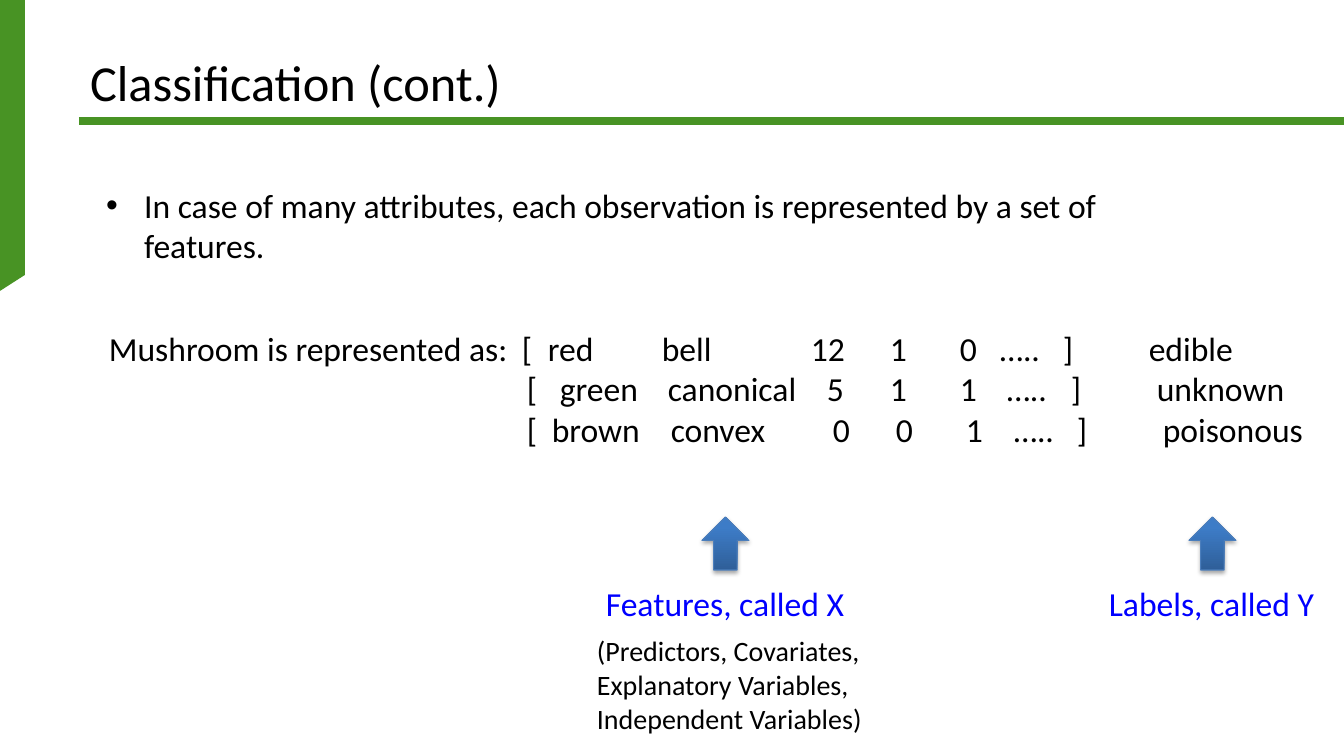
import pptx
import pptx.dml.color
import pptx.enum.shapes
import pptx.enum.text
import pptx.oxml
import pptx.oxml.ns
import pptx.util
from dataclasses import dataclass


@dataclass(frozen=True)
class Theme:
    font: str = "Calibri"
    accent: str = "489324"
    text: str = "000000"
    label: str = "0000FF"
    arrow_dark: str = "2F5F99"
    arrow_light: str = "3D7CC7"
    arrow_edge: str = "4B7EBC"
    title_size: int = 36
    body_size: int = 24
    note_size: int = 20


def px(length):
    return round(length * 914400 / 100.8)


def rgb(code):
    return pptx.dml.color.RGBColor.from_string(code)


def add_xml(parent, tag, **attributes):
    child = parent.makeelement(pptx.oxml.ns.qn(tag), {key: str(value) for key, value in attributes.items()})
    parent.append(child)
    return child


class SlideBuilder:
    def __init__(self, slide, theme):
        self.slide = slide
        self.theme = theme

    def format_text(self, text_frame, size, color):
        for paragraph in text_frame.paragraphs:
            for run in paragraph.runs:
                run.font.name = self.theme.font
                run.font.size = pptx.util.Pt(size)
                run.font.color.rgb = rgb(color)

    def place(self, shape, left, top, width, height):
        shape.left, shape.top = px(left), px(top)
        shape.width, shape.height = px(width), px(height)

    def title(self, text, *box, indent):
        shape = self.slide.shapes.title
        self.place(shape, *box)
        frame = shape.text_frame
        frame.text = text
        frame.auto_size = pptx.enum.text.MSO_AUTO_SIZE.NONE
        frame.vertical_anchor = pptx.enum.text.MSO_ANCHOR.BOTTOM
        frame.margin_left = px(indent)
        frame.margin_top = frame.margin_right = frame.margin_bottom = 0
        frame.paragraphs[0].alignment = pptx.enum.text.PP_ALIGN.LEFT
        frame.paragraphs[0].line_spacing = 0.9
        self.format_text(frame, self.theme.title_size, self.theme.text)

    def bullets(self, items, *box, indent):
        shape = self.slide.placeholders[1]
        self.place(shape, *box)
        frame = shape.text_frame
        frame.text = "\n".join(items)
        frame.auto_size = pptx.enum.text.MSO_AUTO_SIZE.NONE
        for paragraph in frame.paragraphs:
            paragraph.space_before = pptx.util.Pt(0)
            properties = paragraph._p.get_or_add_pPr()
            properties.set("marL", str(px(indent)))
            properties.set("indent", str(-px(indent)))
            add_xml(properties, "a:buFont", typeface="Arial")
            add_xml(properties, "a:buChar", char="•")
        self.format_text(frame, self.theme.body_size, self.theme.text)

    def text(self, text, *box, size, color):
        shape = self.slide.shapes.add_textbox(*map(px, box))
        shape.text_frame.word_wrap = True
        shape.text_frame.text = text
        self.format_text(shape.text_frame, size, color)
        return shape.text_frame

    def tabbed_rows(self, rows, *box):
        """Each row is its text cells and the px tab stops, from the slide's left edge."""
        lines = "\n".join("\t".join(cells) for cells, stops in rows)
        frame = self.text(lines, *box, size=self.theme.body_size, color=self.theme.text)
        for paragraph, (cells, stops) in zip(frame.paragraphs, rows):
            tabs = add_xml(paragraph._p.get_or_add_pPr(), "a:tabLst")
            for stop in stops:
                add_xml(tabs, "a:tab", pos=px(stop - box[0]) - frame.margin_left, algn="l")

    def polygon(self, points):
        builder = self.slide.shapes.build_freeform(*points[0], scale=px(1))
        builder.add_line_segments(points[1:], close=True)
        shape = builder.convert_to_shape()
        shape.shadow.inherit = False
        shape.fill.solid()
        shape.fill.fore_color.rgb = rgb(self.theme.accent)
        shape.line.fill.background()

    def rule(self, left, right, y, weight):
        line = self.slide.shapes.add_connector(
            pptx.enum.shapes.MSO_CONNECTOR.STRAIGHT, px(left), px(y), px(right), px(y))
        line.line.color.rgb = rgb(self.theme.accent)
        line.line.width = pptx.util.Pt(weight)
        add_xml(line._element.spPr, "a:effectLst")

    def up_arrow(self, *box):
        shape = self.slide.shapes.add_shape(pptx.enum.shapes.MSO_SHAPE.UP_ARROW, *map(px, box))
        shape.fill.gradient()
        shape.fill.gradient_angle = 90
        stops = zip(shape.fill.gradient_stops, (0, 0.8), (self.theme.arrow_dark, self.theme.arrow_light))
        for stop, position, color in stops:
            stop.position = position
            stop.color.rgb = rgb(color)
        shape.line.color.rgb = rgb(self.theme.arrow_edge)
        shape.line.width = pptx.util.Pt(0.75)
        # Soft shadow straight below
        shape.shadow.inherit = False
        effects = shape._element.spPr.find(pptx.oxml.ns.qn("a:effectLst"))
        shadow = add_xml(effects, "a:outerShdw", blurRad=pptx.util.Pt(3.1), dist=pptx.util.Pt(1.8),
                         dir=90 * 60000, rotWithShape=0)
        add_xml(add_xml(shadow, "a:srgbClr", val="000000"), "a:alpha", val=35000)


def main():
    presentation = pptx.Presentation()
    presentation.slide_width, presentation.slide_height = px(1344), px(756)
    theme = Theme()
    builder = SlideBuilder(presentation.slides.add_slide(presentation.slide_layouts[1]), theme)

    # Green frame
    builder.polygon([(0, 0), (25, 0), (25, 275), (0, 291)])
    builder.rule(79, 1344, 121, 6)

    # Title and statement
    builder.title("Classification (cont.)", 79, 0, 1185, 112, indent=11)
    builder.bullets(
        ["In case of many attributes, each observation is represented by a set of features."],
        96, 180, 1052, 576, indent=38)

    # Observations: feature vector and label
    builder.tabbed_rows([
        (["Mushroom is represented as:", "[", "red", "bell", "12", "1", "0", "…..", "]", "edible"],
         [522, 548, 662, 811, 890, 960, 1000, 1063, 1149]),
        (["", "[", "green", "canonical", "5", "1", "1", "…..", "]", "unknown"],
         [527, 560, 668, 827, 890, 960, 1007, 1071, 1157]),
        (["", "[", "brown", "convex", "0", "0", "1", "…..", "]", "poisonous"],
         [527, 552, 671, 833, 896, 966, 1014, 1077, 1163]),
    ], 99, 323, 1230, 214)

    # Arrows and their one-line labels
    for arrow_left, label_left, label_width, label in (
            (1189, 1099, 240, "Labels, called Y"),
            (702, 596, 300, "Features, called X")):
        builder.up_arrow(arrow_left, 517, 47, 53)
        builder.text(label, label_left, 578, label_width, 50, size=theme.body_size, color=theme.label)
    builder.text("(Predictors, Covariates, Explanatory Variables, Independent Variables)",
                 587, 629, 336, 112, size=theme.note_size, color=theme.text)

    presentation.save("out.pptx")


if __name__ == "__main__":
    main()
